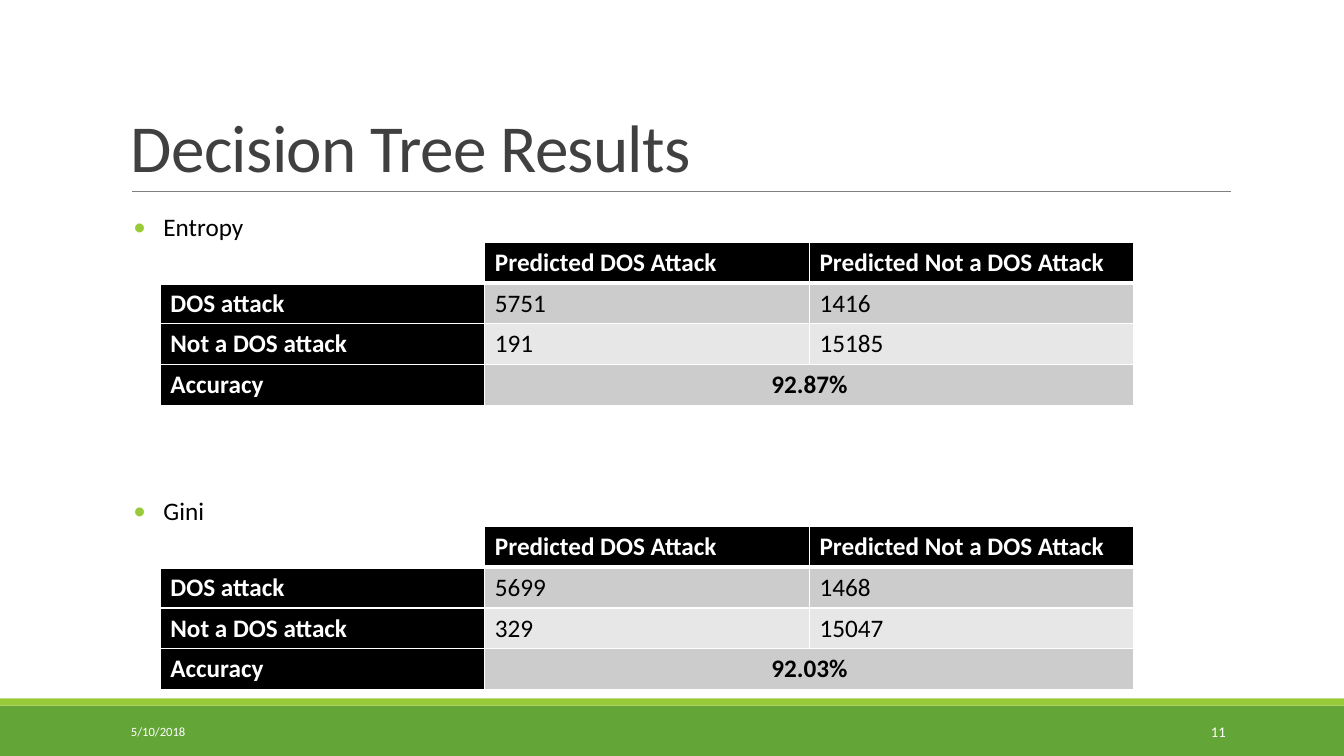
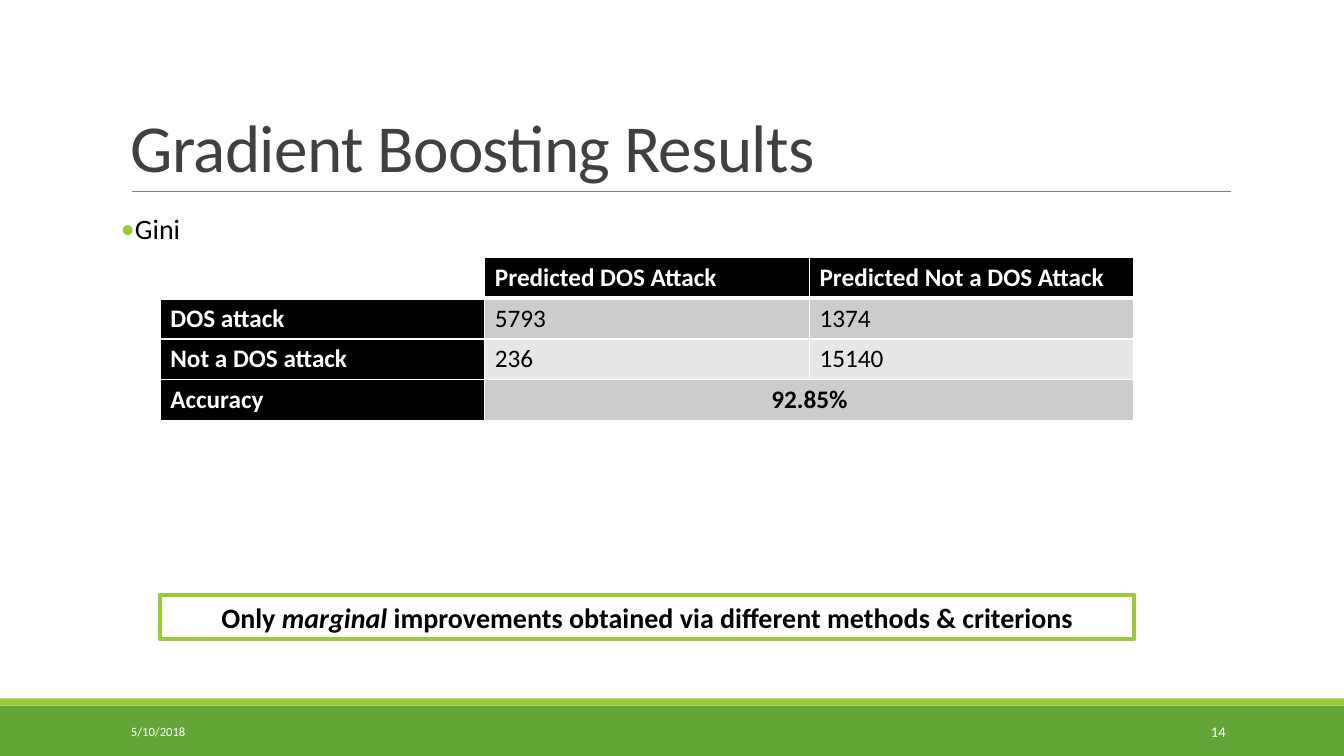
from lxml.etree import SubElement
from pptx import Presentation
from pptx.dml.color import RGBColor
from pptx.enum.shapes import MSO_CONNECTOR, MSO_SHAPE
from pptx.enum.text import MSO_ANCHOR, PP_ALIGN
from pptx.oxml.ns import qn
from pptx.util import Cm, Pt

WIDTH, HEIGHT = 33.87, 19.05
BODY_LEFT, BODY_WIDTH = 3.05, 27.94
TABLE_LEFT, COLUMN_WIDTH, ROW_HEIGHT = 4.04, 8.18, 1.03
BLOCK_PITCH = 7.16


def rgb(value):
    """Turn a hex string into a colour."""
    return RGBColor.from_string(value)


class Deck:
    """Hold the shared style and the slide being built."""

    FONT = "Calibri"
    GREEN, LIME, RULE, TITLE = "63A537", "99CB38", "808080", "404040"
    BLACK, WHITE = "000000", "FFFFFF"
    BANDS = ("CCCCCC", "E7E7E7")

    def __init__(self):
        """Open an empty widescreen presentation."""
        self.presentation = Presentation()
        self.presentation.slide_width = Cm(WIDTH)
        self.presentation.slide_height = Cm(HEIGHT)
        self.slide = None

    def start(self, title, number):
        """Begin a slide with its title, rule, bands and footer."""
        layout = self.presentation.slide_layouts[6]
        self.slide = self.presentation.slides.add_slide(layout)
        self.band(17.78, 1.27, self.GREEN)
        self.band(17.6, 0.18, self.LIME)
        self.rule(3.33, 31.01, 4.83)
        heading = self.text(BODY_LEFT, 0.79, BODY_WIDTH, 4.04, title, 48,
                            self.TITLE, MSO_ANCHOR.BOTTOM)
        heading.line_spacing = 0.85
        heading.runs[0].font._element.set("spc", "-50")
        self.text(BODY_LEFT, 17.93, 6.86, 1.02, "5/10/2018", 9, self.WHITE)
        page = self.text(27.51, 17.93, 3.63, 1.02, number, 10.5, self.WHITE)
        page.alignment = PP_ALIGN.RIGHT

    def run(self, paragraph, text, size, color, bold=False, italic=False):
        """Add one styled run to a paragraph."""
        run = paragraph.add_run()
        run.text = text
        font = run.font
        font.name, font.size = self.FONT, Pt(size)
        font.bold, font.italic = bold, italic
        font.color.rgb = rgb(color)

    def text(self, left, top, width, height, text, size, color,
             anchor=MSO_ANCHOR.MIDDLE, side_inset=0.25):
        """Add a one-paragraph text box and return the paragraph."""
        box = self.slide.shapes.add_textbox(
            Cm(left), Cm(top), Cm(width), Cm(height))
        frame = box.text_frame
        frame.word_wrap = True
        frame.vertical_anchor = anchor
        frame.margin_left = frame.margin_right = Cm(side_inset)
        paragraph = frame.paragraphs[0]
        self.run(paragraph, text, size, color)
        return paragraph

    def rectangle(self, left, top, width, height):
        """Add a plain rectangle without shadow."""
        shape = self.slide.shapes.add_shape(
            MSO_SHAPE.RECTANGLE, Cm(left), Cm(top), Cm(width), Cm(height))
        shape.shadow.inherit = False
        return shape

    def band(self, top, height, color):
        """Add a full-width colour band."""
        band = self.rectangle(0, top, WIDTH, height)
        band.fill.solid()
        band.fill.fore_color.rgb = rgb(color)
        band.line.fill.background()

    def rule(self, left, right, top):
        """Add the thin line under the title."""
        rule = self.slide.shapes.add_connector(
            MSO_CONNECTOR.STRAIGHT, Cm(left), Cm(top), Cm(right), Cm(top))
        rule.line.color.rgb = rgb(self.RULE)
        rule.line.width = Pt(0.5)
        SubElement(rule._element.spPr, qn("a:effectLst"))

    def bullet(self, top, text, size, margin, after):
        """Add a bulleted criterion name."""
        item = self.text(BODY_LEFT, top, BODY_WIDTH, 1.2, text, size,
                         self.BLACK, MSO_ANCHOR.TOP, 0)
        item.line_spacing = 1.1
        item.space_before, item.space_after = Pt(6), Pt(after)
        properties = item._p.get_or_add_pPr()
        properties.set("marL", str(Cm(margin)))
        properties.set("indent", str(Cm(-0.76)))
        color = SubElement(properties, qn("a:buClr"))
        SubElement(color, qn("a:srgbClr"), val=self.LIME)
        SubElement(properties, qn("a:buFont"), typeface=self.FONT)
        SubElement(properties, qn("a:buChar"), char="•")

    def cell(self, cell, text, fill, color, bold, top=1, bottom=1):
        """Fill, border and write one table cell."""
        properties = cell._tc.get_or_add_tcPr()
        for side, width in (("L", 1), ("R", 1), ("T", top), ("B", bottom)):
            border = SubElement(properties, qn(f"a:ln{side}"), w=str(Pt(width)))
            solid = SubElement(border, qn("a:solidFill"))
            SubElement(solid, qn("a:srgbClr"), val=self.WHITE)
        cell.fill.solid()
        cell.fill.fore_color.rgb = rgb(fill)
        if text:
            self.run(cell.text_frame.paragraphs[0], text, 18, color, bold)

    def confusion_table(self, top, attack, normal, accuracy):
        """Add a confusion matrix with a merged accuracy row."""
        rows = (("", "Predicted DOS Attack", "Predicted Not a DOS Attack"),
                ("DOS attack", *attack),
                ("Not a DOS attack", *normal),
                ("Accuracy", accuracy, ""))
        table = self.slide.shapes.add_table(
            4, 3, Cm(TABLE_LEFT), Cm(top),
            Cm(3 * COLUMN_WIDTH), Cm(4 * ROW_HEIGHT)).table
        for column in table.columns:
            column.width = Cm(COLUMN_WIDTH)
        for r, row in enumerate(rows):
            table.rows[r].height = Cm(ROW_HEIGHT)
            for c, text in enumerate(row):
                label = r == 0 or c == 0
                fill = self.BLACK if label else self.BANDS[(r - 1) % 2]
                if r == c == 0:
                    fill = self.WHITE
                self.cell(table.cell(r, c), text, fill,
                          self.WHITE if label else self.BLACK,
                          label or r == 3,
                          3 if r == 1 else 1, 3 if r == 0 else 1)
        score = table.cell(3, 1)
        score.merge(table.cell(3, 2))
        score.text_frame.paragraphs[0].alignment = PP_ALIGN.CENTER

    def callout(self, top, height, runs):
        """Add an outlined conclusion made of (text, italic) runs."""
        conclusion = self.rectangle(TABLE_LEFT, top, 3 * COLUMN_WIDTH, height)
        conclusion.fill.background()
        conclusion.line.color.rgb = rgb(self.LIME)
        conclusion.line.width = Pt(3)
        frame = conclusion.text_frame
        frame.word_wrap = True
        paragraph = frame.paragraphs[0]
        paragraph.alignment = PP_ALIGN.CENTER
        for text, italic in runs:
            self.run(paragraph, text, 20, self.BLACK, True, italic)


def main():
    """Build and save both result slides."""
    deck = Deck()
    deck.start("Decision Tree Results", "11")
    results = (("Entropy", ("5751", "1416"), ("191", "15185"), "92.87%"),
               ("Gini", ("5699", "1468"), ("329", "15047"), "92.03%"))
    for index, (criterion, *values) in enumerate(results):
        offset = index * BLOCK_PITCH
        deck.bullet(5.13 + offset, criterion, 18, 1.07, 4)
        deck.confusion_table(6.1 + offset, *values)

    deck.start("Gradient Boosting Results", "14")
    deck.bullet(5.13, "Gini", 20, 0.25, 2)
    deck.confusion_table(6.48, ("5793", "1374"), ("236", "15140"), "92.85%")
    deck.callout(14.99, 1.12, (
        ("Only ", False),
        ("marginal", True),
        (" improvements obtained via different methods & criterions", False)))
    deck.presentation.save("out.pptx")


if __name__ == "__main__":
    main()
